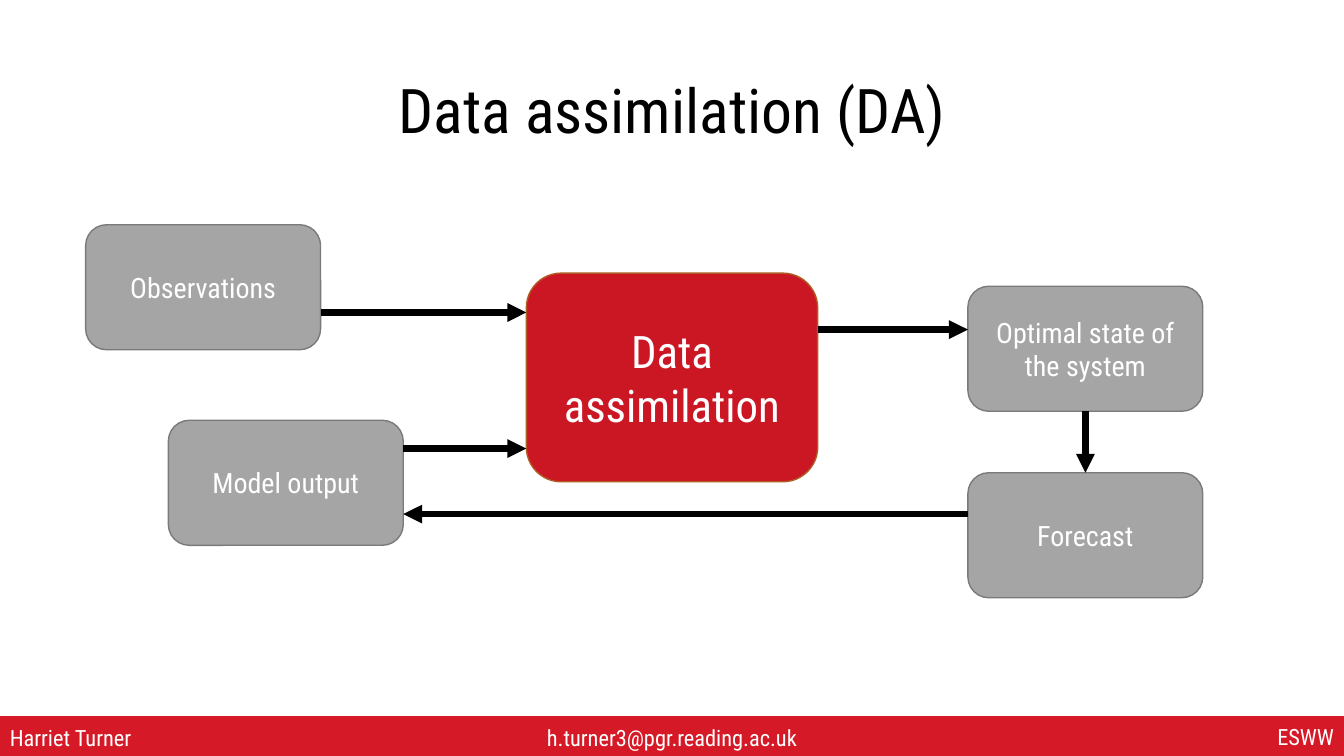
from lxml import etree
from pptx import Presentation
from pptx.dml.color import RGBColor
from pptx.enum.shapes import MSO_CONNECTOR, MSO_SHAPE
from pptx.enum.text import MSO_ANCHOR, PP_ALIGN
from pptx.oxml.ns import qn
from pptx.util import Inches, Pt

LEFT, CENTER, RIGHT = PP_ALIGN.LEFT, PP_ALIGN.CENTER, PP_ALIGN.RIGHT
MIDDLE = MSO_ANCHOR.MIDDLE
RECTANGLE, ROUNDED = MSO_SHAPE.RECTANGLE, MSO_SHAPE.ROUNDED_RECTANGLE
STRAIGHT = MSO_CONNECTOR.STRAIGHT

FONT = "Roboto Condensed"
BLACK, WHITE = "000000", "FFFFFF"
BAR_RED, CORE_RED, CORE_EDGE = "D61926", "CB1724", "AF5C24"
GREY, GREY_EDGE = "A5A5A5", "7A7A7A"
SLIDE_WIDTH, SLIDE_HEIGHT = 13.33, 7.5
NODE_WIDTH, NODE_HEIGHT = 2.33, 1.24


def color(value):
    return RGBColor.from_string(value)


def write(shape, text, size, text_color, alignment=CENTER, spacing=None):
    frame = shape.text_frame
    frame.word_wrap = True
    frame.vertical_anchor = MIDDLE
    paragraph = frame.paragraphs[0]
    paragraph.alignment = alignment
    if spacing:
        paragraph.line_spacing = spacing
    run = paragraph.add_run()
    run.text = text
    run.font.size = Pt(size)
    run.font.name = FONT
    run.font.color.rgb = color(text_color)


def add_text(slide, box, text, size, text_color, alignment=CENTER, spacing=None):
    text_box = slide.shapes.add_textbox(*map(Inches, box))
    write(text_box, text, size, text_color, alignment, spacing)


def add_block(slide, kind, box, fill, edge):
    shape = slide.shapes.add_shape(kind, *map(Inches, box))
    shape.shadow.inherit = False
    shape.fill.solid()
    shape.fill.fore_color.rgb = color(fill)
    shape.line.color.rgb = color(edge)
    shape.line.width = Pt(1)
    return shape


def add_arrow(slide, start, end):
    arrow = slide.shapes.add_connector(STRAIGHT, *map(Inches, start + end))
    arrow.line.color.rgb = color(BLACK)
    arrow.line.width = Pt(4.5)
    head = etree.SubElement(arrow.line._get_or_add_ln(), qn("a:tailEnd"))
    head.set("type", "triangle")
    etree.SubElement(arrow._element.spPr, qn("a:effectLst"))


def add_footer(slide, box):
    left, top, width, height = box
    add_block(slide, RECTANGLE, box, BAR_RED, BAR_RED)
    text_width = 3.1
    entries = [
        ("Harriet Turner", left, 0.02, LEFT),
        ("h.turner3@pgr.reading.ac.uk", left + (width - text_width) / 2, 0.02, CENTER),
        ("ESWW", left + width - text_width, 0.01, RIGHT),
    ]
    for text, text_left, drop, alignment in entries:
        text_box = (text_left, top + drop, text_width, height - 0.01)
        add_text(slide, text_box, text, 16, WHITE, alignment)


def add_cycle(slide, box):
    left, top, width, height = box
    right = left + width
    core_left, core_width = left + 4.37, 2.89
    core_right = core_left + core_width
    output_left = right - NODE_WIDTH
    output_center = output_left + NODE_WIDTH / 2
    model_left = left + 0.82
    model_right = model_left + NODE_WIDTH
    state_top = top + 0.61
    forecast_top = top + height - NODE_HEIGHT

    core = add_block(slide, ROUNDED, (core_left, top + 0.48, core_width, 2.07),
                     CORE_RED, CORE_EDGE)
    write(core, "Data assimilation", 32, WHITE)

    nodes = [
        ("Observations", left, top),
        ("Model output", model_left, top + 1.94),
        ("Optimal state of the system", output_left, state_top),
        ("Forecast", output_left, forecast_top),
    ]
    for text, node_left, node_top in nodes:
        node = add_block(slide, ROUNDED, (node_left, node_top, NODE_WIDTH, NODE_HEIGHT),
                         GREY, GREY_EDGE)
        write(node, text, 20, WHITE)

    flows = [
        (left + NODE_WIDTH, core_left, top + 0.87),
        (core_right, output_left, top + 1.04),
        (model_right, core_left, top + 2.22),
        (output_left, model_right, top + 2.87),
    ]
    for start, end, level in flows:
        add_arrow(slide, (start, level), (end, level))
    add_arrow(slide, (output_center, state_top + NODE_HEIGHT), (output_center, forecast_top))


def main():
    presentation = Presentation()
    presentation.slide_width = Inches(SLIDE_WIDTH)
    presentation.slide_height = Inches(SLIDE_HEIGHT)
    slide = presentation.slides.add_slide(presentation.slide_layouts[6])
    add_text(slide, (0.92, 0.4, 11.5, 1.45), "Data assimilation (DA)", 44, BLACK, spacing=0.9)
    add_footer(slide, (0, 7.11, SLIDE_WIDTH, 0.38))
    add_cycle(slide, (0.85, 2.23, 11.08, 3.7))
    presentation.save("out.pptx")


if __name__ == "__main__":
    main()
